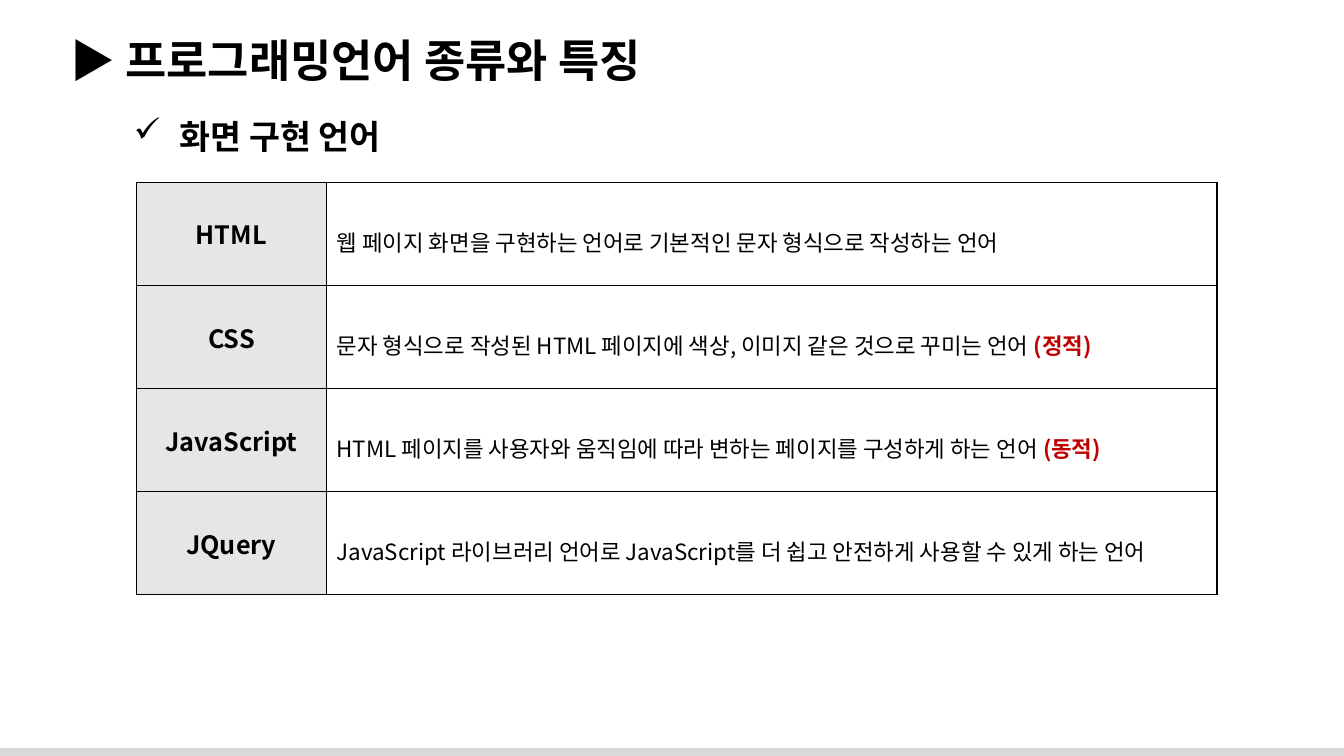
from pptx import Presentation
from pptx.dml.color import RGBColor
from pptx.enum.shapes import MSO_SHAPE
from pptx.enum.text import MSO_ANCHOR, MSO_AUTO_SIZE, PP_ALIGN
from pptx.oxml.ns import qn
from pptx.util import Inches, Pt
from lxml.etree import SubElement

BLACK = RGBColor(0x00, 0x00, 0x00)
RED = RGBColor(0xC0, 0x00, 0x00)
BAR_GRAY = RGBColor(0xD9, 0xD9, 0xD9)
LABEL_GRAY = RGBColor(0xE7, 0xE6, 0xE6)
HEADING_FONT = "Arial"
TABLE_FONT = "Noto Sans CJK KR"

LANGUAGES = [
    ("HTML", "웹 페이지 화면을 구현하는 언어로 기본적인 문자 형식으로 작성하는 언어", ""),
    ("CSS", "문자 형식으로 작성된 HTML 페이지에 색상, 이미지 같은 것으로 꾸미는 언어 ", "(정적)"),
    ("JavaScript", "HTML 페이지를 사용자와 움직임에 따라 변하는 페이지를 구성하게 하는 언어 ", "(동적)"),
    ("JQuery", "JavaScript 라이브러리 언어로 JavaScript를 더 쉽고 안전하게 사용할 수 있게 하는 언어", ""),
]


def add_span(para, text, size, font, bold=True, color=BLACK):
    span = para.add_run()
    span.text = text
    span.font.size = Pt(size)
    span.font.name = font
    span.font.bold = bold
    span.font.color.rgb = color
    SubElement(span.font._element, qn("a:ea"), typeface=TABLE_FONT)


def add_heading(left, top, width, height, text, size, wrap):
    box = slide.shapes.add_textbox(Inches(left), Inches(top), Inches(width), Inches(height))
    box.text_frame.word_wrap = wrap
    box.text_frame.auto_size = MSO_AUTO_SIZE.SHAPE_TO_FIT_TEXT
    para = box.text_frame.paragraphs[0]
    add_span(para, text, size, HEADING_FONT)
    return para


deck = Presentation()
deck.slide_width = Inches(13.33)
deck.slide_height = Inches(7.5)
slide = deck.slides.add_slide(deck.slide_layouts[6])

bar = slide.shapes.add_shape(MSO_SHAPE.RECTANGLE, 0, Inches(7.42), deck.slide_width, Inches(0.08))
bar.shadow.inherit = False
bar.fill.solid()
bar.fill.fore_color.rgb = BAR_GRAY
bar.line.fill.background()

add_heading(0.6, 0.28, 12.6, 0.64, "▶ 프로그래밍언어 종류와 특징", 32, True)

subtitle = add_heading(1.23, 1.1, 2.96, 0.5, " 화면 구현 언어", 24, False)
bullet = subtitle._p.get_or_add_pPr()
bullet.set("marL", str(Inches(0.38)))
bullet.set("indent", str(-Inches(0.38)))
SubElement(bullet, qn("a:buChar"), char="✓")

table = slide.shapes.add_table(
    len(LANGUAGES), 2, Inches(1.35), Inches(1.81), Inches(10.72), Inches(4.09)
).table
table.first_row = False
table.horz_banding = False
table.columns[0].width = Inches(1.89)
table.columns[1].width = Inches(8.83)

for row, (language, description, behavior) in enumerate(LANGUAGES):
    label = table.cell(row, 0)
    detail = table.cell(row, 1)

    para = label.text_frame.paragraphs[0]
    para.alignment = PP_ALIGN.CENTER
    add_span(para, language, 18, TABLE_FONT)

    para = detail.text_frame.paragraphs[0]
    para.line_spacing = 1.5
    add_span(para, description, 16, TABLE_FONT, bold=False)
    if behavior:
        add_span(para, behavior, 16, TABLE_FONT, color=RED)

    for cell in (label, detail):
        cell.vertical_anchor = MSO_ANCHOR.MIDDLE
        properties = cell._tc.get_or_add_tcPr()
        for side in ("a:lnL", "a:lnR", "a:lnT", "a:lnB"):
            border = SubElement(properties, qn(side), w=str(Pt(1)))
            paint = SubElement(border, qn("a:solidFill"))
            SubElement(paint, qn("a:srgbClr"), val=str(BLACK))
    label.fill.solid()
    label.fill.fore_color.rgb = LABEL_GRAY
    detail.fill.background()

deck.save("out.pptx")
